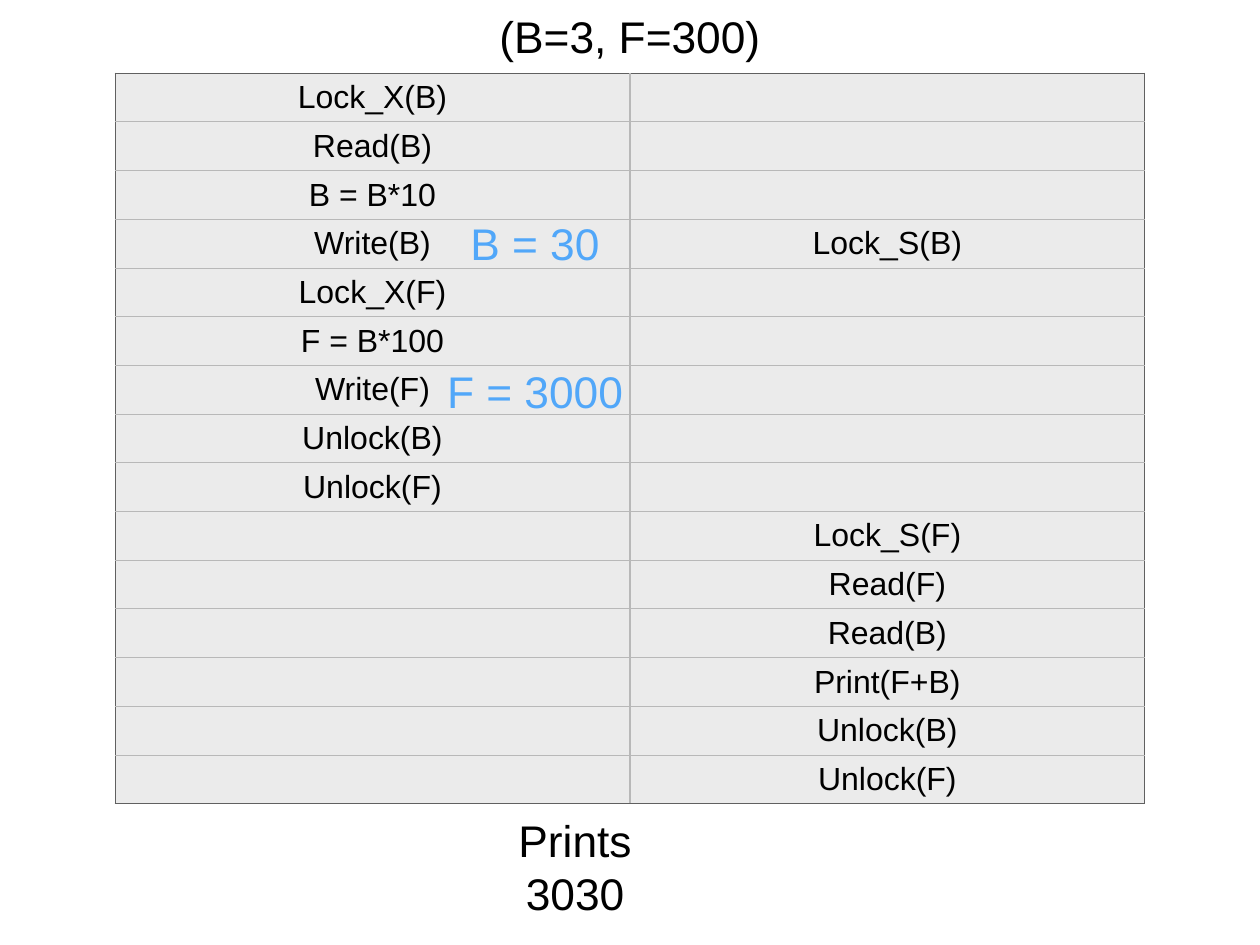
"""Build the two-transaction lock schedule slide."""
from dataclasses import dataclass

from lxml import etree
from pptx import Presentation
from pptx.dml.color import RGBColor
from pptx.enum.text import MSO_ANCHOR, PP_ALIGN
from pptx.oxml.ns import qn
from pptx.slide import Slide
from pptx.table import _Cell
from pptx.text.text import _Paragraph
from pptx.util import Cm, Pt

CENTER = PP_ALIGN.CENTER
MIDDLE = MSO_ANCHOR.MIDDLE


@dataclass(frozen=True)
class Theme:
    """Colours, font and type sizes."""
    font: str = "Arial"
    text: str = "000000"
    accent: str = "51A7F9"
    cell: str = "EBEBEB"
    outer: str = "606060"
    inner: str = "B8B8B8"
    step_size: int = 26
    label_size: int = 36
    border: int = 1
    inset: float = 0.14


@dataclass(frozen=True)
class Label:
    """A text box, with lengths in centimetres."""
    text: str
    left: float
    top: float
    width: float
    color: str
    height: float = 1.8
    wrap: bool = False


THEME = Theme()
SLIDE_WIDTH, SLIDE_HEIGHT = 36.12, 27.09
TABLE_LEFT, TABLE_TOP, TABLE_WIDTH, TABLE_HEIGHT = 3.3, 2.1, 29.52, 20.94

SCHEDULE = [
    ("Lock_X(B)", ""),
    ("Read(B)", ""),
    ("B = B*10", ""),
    ("Write(B)", "Lock_S(B)"),
    ("Lock_X(F)", ""),
    ("F = B*100", ""),
    ("Write(F)", ""),
    ("Unlock(B)", ""),
    ("Unlock(F)", ""),
    ("", "Lock_S(F)"),
    ("", "Read(F)"),
    ("", "Read(B)"),
    ("", "Print(F+B)"),
    ("", "Unlock(B)"),
    ("", "Unlock(F)"),
]

LABELS = [
    Label("(B=3, F=300)", 14.1, 0.13, 7.92, THEME.text),
    Label("B = 30", 13.28, 6.05, 4.11, THEME.accent),
    Label("F = 3000", 12.65, 10.31, 5.38, THEME.accent),
    Label("Prints 3030", 14.48, 23.16, 4.01, THEME.text, 3.33, True),
]


def style_paragraph(p: _Paragraph, size: int, color: str) -> None:
    """Centre a paragraph and set its font."""
    p.alignment = CENTER
    p.font.name = THEME.font
    p.font.size = Pt(size)
    p.font.color.rgb = RGBColor.from_string(color)


def set_borders(cell: _Cell, colors: dict[str, str]) -> None:
    """Put one solid line on each named side of a cell."""
    tc_pr = cell._tc.get_or_add_tcPr()
    for i, (side, color) in enumerate(colors.items()):
        line = etree.Element(qn(f"a:ln{side}"), w=str(Pt(THEME.border)))
        fill = etree.SubElement(line, qn("a:solidFill"))
        etree.SubElement(fill, qn("a:srgbClr"), val=color)
        tc_pr.insert(i, line)


def add_schedule(slide: Slide, rows: list[tuple[str, str]]) -> None:
    """Add the table of steps, one column per transaction."""
    last_row, last_col = len(rows) - 1, len(rows[0]) - 1
    table = slide.shapes.add_table(
        len(rows), len(rows[0]), Cm(TABLE_LEFT), Cm(TABLE_TOP),
        Cm(TABLE_WIDTH), Cm(TABLE_HEIGHT)).table
    table.first_row = table.horz_banding = False
    for r, steps in enumerate(rows):
        for c, step in enumerate(steps):
            cell = table.cell(r, c)
            cell.text = step
            cell.vertical_anchor = MIDDLE
            cell.margin_left = cell.margin_right = Cm(THEME.inset)
            cell.margin_top = cell.margin_bottom = Cm(THEME.inset)
            style_paragraph(cell.text_frame.paragraphs[0],
                            THEME.step_size, THEME.text)
            cell.fill.solid()
            cell.fill.fore_color.rgb = RGBColor.from_string(THEME.cell)
            on_edge = {"L": c == 0, "R": c == last_col,
                       "T": r == 0, "B": r == last_row}
            set_borders(cell, {side: THEME.outer if edge else THEME.inner
                               for side, edge in on_edge.items()})


def add_label(slide: Slide, label: Label) -> None:
    """Add a centred text box."""
    tf = slide.shapes.add_textbox(
        Cm(label.left), Cm(label.top),
        Cm(label.width), Cm(label.height)).text_frame
    tf.word_wrap = label.wrap
    tf.vertical_anchor = MIDDLE
    tf.margin_left = tf.margin_right = Cm(THEME.inset)
    tf.margin_top = tf.margin_bottom = Cm(THEME.inset)
    tf.text = label.text
    style_paragraph(tf.paragraphs[0], THEME.label_size, label.color)


def main() -> None:
    """Build and save the slide."""
    prs = Presentation()
    prs.slide_width, prs.slide_height = Cm(SLIDE_WIDTH), Cm(SLIDE_HEIGHT)
    slide = prs.slides.add_slide(prs.slide_layouts[6])
    add_schedule(slide, SCHEDULE)
    for label in LABELS:
        add_label(slide, label)
    prs.save("out.pptx")


if __name__ == "__main__":
    main()
